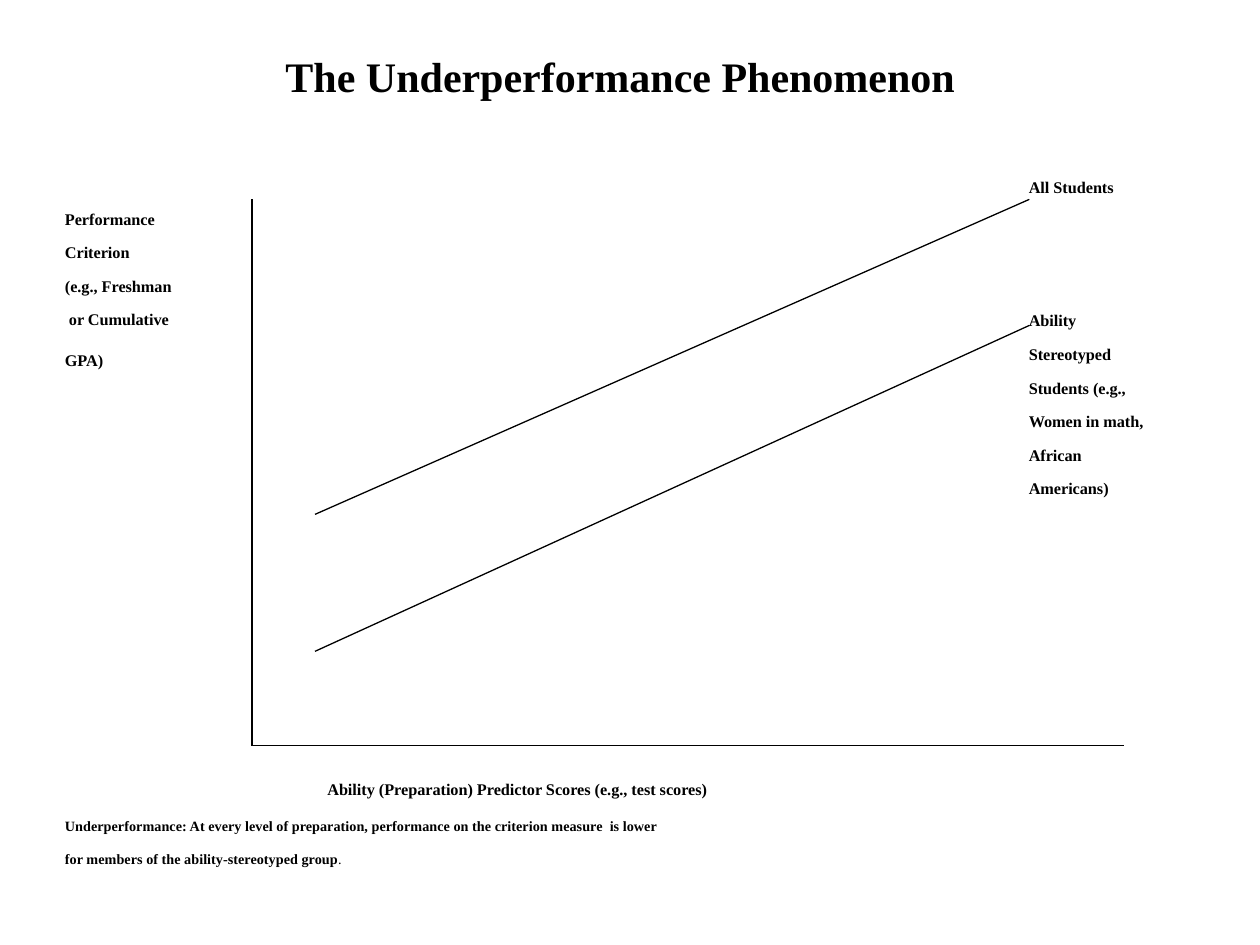
from pptx import Presentation
from pptx.dml.color import RGBColor
from pptx.enum.shapes import MSO_CONNECTOR
from pptx.enum.text import MSO_ANCHOR, PP_ALIGN
from pptx.oxml.ns import qn
from pptx.util import Cm, Pt
from lxml.etree import SubElement

FONT = "Times New Roman"
INK = "000000"
RAISED = "30000"  # superscript offset, in thousandths of a percent


def paint(color_format, hex_color):
    color_format.rgb = RGBColor.from_string(hex_color)


def add_run(paragraph, text, size, bold=True, raised=True):
    run = paragraph.add_run()
    run.text = text
    run.font.name = FONT
    run.font.size = Pt(size)
    run.font.bold = bold
    paint(run.font.color, INK)
    if raised:
        run.font._element.set("baseline", RAISED)


def add_text(slide, box, lines, size, wrap=True):
    """Each line is a list of (text, changes) runs."""
    frame = slide.shapes.add_textbox(*map(Cm, box)).text_frame
    frame.word_wrap = wrap
    for number, line in enumerate(lines):
        paragraph = frame.paragraphs[0] if number == 0 else frame.add_paragraph()
        for text, changes in line:
            add_run(paragraph, text, **{"size": size, **changes})
    return frame


def plain(*texts):
    return [[(text, {})] for text in texts]


def add_line(slide, start, end):
    line = slide.shapes.add_connector(MSO_CONNECTOR.STRAIGHT, *map(Cm, start + end))
    paint(line.line.color, INK)
    line.line.width = Pt(0.75)
    SubElement(line._element.spPr, qn("a:effectLst"))


def add_title(slide, box):
    heading = [[("The Underperformance Phenomenon", {"raised": False})]]
    frame = add_text(slide, box, heading, 24)
    frame.vertical_anchor = MSO_ANCHOR.MIDDLE
    frame.paragraphs[0].alignment = PP_ALIGN.CENTER
    frame.paragraphs[0].line_spacing = 0.9


def add_graph(slide, box):
    left, top, width, height = box
    bottom = top + height

    # Axes
    add_line(slide, (left, top), (left, bottom))
    add_line(slide, (left, bottom), (left + width, bottom))

    # Regression lines: all students, then the stereotyped group
    line_start, line_end = left + 1.27, left + 15.67
    for start_drop, end_drop in ((6.35, 0), (9.11, 2.54)):
        add_line(slide, (line_start, top + start_drop), (line_end, top + end_drop))

    # Axis labels
    add_text(slide, (left + 1.27, bottom + 0.42, 16.3, 0.94),
             [[("Ability (Preparation) Predictor Scores (e.g., test scores)", {}),
               (" ", {"size": 18, "bold": False})]], 16)
    criterion = plain("Performance", "Criterion", "(e.g., Freshman", " or Cumulative", "GPA)")
    criterion[-1].append((" ", {"size": 20}))
    add_text(slide, (left - 4.02, top, 4.65, 3.66), criterion, 16)

    # Line labels
    label_left = line_end - 0.26
    add_text(slide, (label_left, top - 0.63, 3.48, 0.94), plain("All Students"), 16, wrap=False)
    add_text(slide, (label_left, top + 2.05, 4.27, 5),
             plain("Ability", "Stereotyped", "Students (e.g.,", "Women in math,",
                   "African", "Americans)"), 16)


def add_definition(slide, box):
    lines = plain("Underperformance: At every level of preparation, "
                  "performance on the criterion measure  is lower",
                  "for members of the ability-stereotyped group")
    lines[-1] += [(".", {"bold": False}), (" ", {"size": 16, "bold": False})]
    add_text(slide, box, lines, 14)


def main():
    deck = Presentation()
    deck.slide_width, deck.slide_height = Cm(25.4), Cm(19.05)
    slide = deck.slides.add_slide(deck.slide_layouts[6])
    add_title(slide, (1.71, 0, 21.59, 3.18))
    add_graph(slide, (5.08, 4.02, 17.58, 11.01))
    add_definition(slide, (1.06, 16.3, 24.03, 1.45))
    deck.save("out.pptx")


if __name__ == "__main__":
    main()
